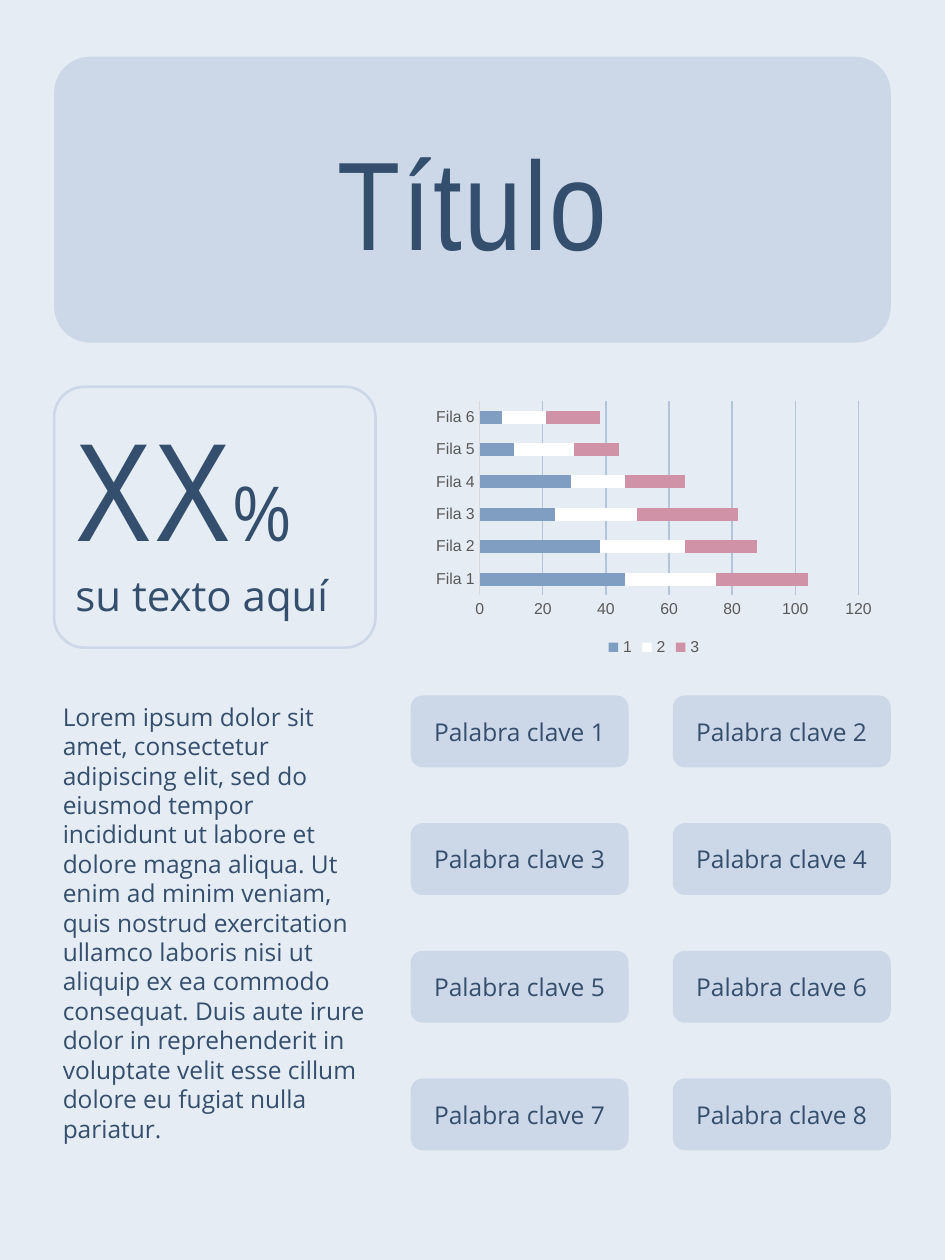
"""Build a portrait summary slide with a title, key figure, bar chart, text and keywords."""
import pptx
import pptx.chart.data
import pptx.dml.color
import pptx.enum.chart
import pptx.enum.shapes
import pptx.enum.text
import pptx.util
from dataclasses import dataclass

TITLE = "Título"
FIGURE = ("XX", "%")
FIGURE_CAPTION = "su texto aquí"
BODY = (
    "Lorem ipsum dolor sit amet, consectetur adipiscing elit, sed do eiusmod "
    "tempor incididunt ut labore et dolore magna aliqua. Ut enim ad minim veniam, "
    "quis nostrud exercitation ullamco laboris nisi ut aliquip ex ea commodo "
    "consequat. Duis aute irure dolor in reprehenderit in voluptate velit esse "
    "cillum dolore eu fugiat nulla pariatur."
)
KEYWORDS = [f"Palabra clave {number}" for number in range(1, 9)]
ROWS = [f"Fila {number}" for number in range(1, 7)]
SERIES = [
    ("1", (46, 38, 24, 29, 11, 7), "809EC2"),
    ("2", (29, 27, 26, 17, 19, 14), "FFFFFF"),
    ("3", (29, 23, 32, 19, 14, 17), "D092A7"),
]


@dataclass(frozen=True)
class Theme:
    """Colours, fonts and type sizes of the slide."""
    background: str = "E6ECF3"
    panel: str = "CCD8E7"
    ink: str = "344E6D"
    label: str = "595959"
    axis: str = "D9D9D9"
    grid: str = "B3C5DA"
    display: str = "Arial Narrow"
    text: str = "Open Sans"
    chart: str = "Arial"
    title_size: float = 72
    figure_size: float = 80
    percent_size: float = 45
    caption_size: float = 24
    body_size: float = 14
    chart_size: float = 9
    tracking: float = 1.4


THEME = Theme()
Inches = pptx.util.Inches
Pt = pptx.util.Pt
PANEL_LEFT, PANEL_RIGHT = 0.43, 7.07
KEYWORD_LEFT, KEYWORD_TOP, KEYWORD_LAST_TOP = 3.26, 5.52, 8.56
KEYWORD_WIDTH, KEYWORD_HEIGHT, KEYWORD_COLUMNS = 1.73, 0.57, 2


def rgb(value):
    """Return a colour from its hexadecimal value."""
    return pptx.dml.color.RGBColor.from_string(value)


def apply(target, values):
    """Set each attribute named in values on target."""
    for name, value in values.items():
        setattr(target, name, value)


def style_font(font, family, size, colour):
    """Give a font its family, size and colour."""
    apply(font, {"name": family, "size": Pt(size)})
    font.color.rgb = rgb(colour)


def write(paragraph, wording, family, size, tracking=0):
    """Add one styled run to a paragraph."""
    run = paragraph.add_run()
    run.text = wording
    style_font(run.font, family, size, THEME.ink)
    if tracking:
        run._r.get_or_add_rPr().set("spc", str(round(tracking * 100)))


def add_panel(slide, place, corner, filled=True):
    """Add a rounded panel, filled or outlined, and return its text frame."""
    panel = slide.shapes.add_shape(
        pptx.enum.shapes.MSO_SHAPE.ROUNDED_RECTANGLE, *map(Inches, place))
    panel.adjustments[0] = corner
    panel.shadow.inherit = False
    if filled:
        panel.fill.solid()
        panel.fill.fore_color.rgb = rgb(THEME.panel)
        panel.line.fill.background()
    else:
        panel.fill.background()
        panel.line.color.rgb = rgb(THEME.panel)
        panel.line.width = Pt(1.5)
    panel.text_frame.word_wrap = True
    return panel.text_frame


def add_label(slide, place, corner, wording, family, size, tracking=0):
    """Add a filled panel with one centred line."""
    frame = add_panel(slide, place, corner)
    frame.vertical_anchor = pptx.enum.text.MSO_ANCHOR.MIDDLE
    frame.paragraphs[0].alignment = pptx.enum.text.PP_ALIGN.CENTER
    write(frame.paragraphs[0], wording, family, size, tracking)


def add_figure(slide):
    """Add the outlined key figure with its caption."""
    frame = add_panel(slide, (PANEL_LEFT, 3.07, 2.55, 2.07), 0.116, filled=False)
    frame.vertical_anchor = pptx.enum.text.MSO_ANCHOR.TOP
    figure, caption = frame.paragraphs[0], frame.add_paragraph()
    for wording, size in zip(FIGURE, (THEME.figure_size, THEME.percent_size)):
        write(figure, wording, THEME.display, size, THEME.tracking)
    write(caption, FIGURE_CAPTION, THEME.text, THEME.caption_size)
    for paragraph in frame.paragraphs:
        paragraph.alignment = pptx.enum.text.PP_ALIGN.LEFT


def add_rows_chart(slide):
    """Add the stacked bar chart of the rows."""
    data = pptx.chart.data.CategoryChartData()
    data.categories = ROWS
    for name, values, _ in SERIES:
        data.add_series(name, values)
    chart = slide.shapes.add_chart(
        pptx.enum.chart.XL_CHART_TYPE.BAR_STACKED,
        *map(Inches, (3.39, 3.14, 3.6, 2.11)), data).chart
    apply(chart, {"has_title": False, "has_legend": True})
    apply(chart.legend, {
        "position": pptx.enum.chart.XL_LEGEND_POSITION.BOTTOM,
        "include_in_layout": False,
    })
    apply(chart.plots[0], {"gap_width": 150, "overlap": 100, "vary_by_categories": False})
    for series, (_, _, colour) in zip(chart.plots[0].series, SERIES):
        series.format.fill.solid()
        series.format.fill.fore_color.rgb = rgb(colour)
    rows, values = chart.category_axis, chart.value_axis
    for axis in (rows, values):
        apply(axis, {
            "major_tick_mark": pptx.enum.chart.XL_TICK_MARK.NONE,
            "minor_tick_mark": pptx.enum.chart.XL_TICK_MARK.NONE,
        })
    apply(values, {"minimum_scale": 0, "maximum_scale": 120, "major_unit": 20,
                   "has_major_gridlines": True})
    values.format.line.fill.background()
    for line, colour in ((rows.format.line, THEME.axis),
                         (values.major_gridlines.format.line, THEME.grid)):
        line.color.rgb = rgb(colour)
        line.width = Pt(0.75)
    for font in (chart.font, chart.legend.font, rows.tick_labels.font,
                 values.tick_labels.font):
        style_font(font, THEME.chart, THEME.chart_size, THEME.label)


def add_body(slide):
    """Add the running text."""
    frame = slide.shapes.add_textbox(*map(Inches, (0.4, 5.52, 2.6, 3.6))).text_frame
    frame.word_wrap = True
    write(frame.paragraphs[0], BODY, THEME.text, THEME.body_size)


def add_keywords(slide):
    """Add the keyword grid."""
    column_step = PANEL_RIGHT - KEYWORD_WIDTH - KEYWORD_LEFT
    row_step = (KEYWORD_LAST_TOP - KEYWORD_TOP) / (len(KEYWORDS) // KEYWORD_COLUMNS - 1)
    for index, keyword in enumerate(KEYWORDS):
        row, column = divmod(index, KEYWORD_COLUMNS)
        place = (KEYWORD_LEFT + column * column_step, KEYWORD_TOP + row * row_step,
                 KEYWORD_WIDTH, KEYWORD_HEIGHT)
        add_label(slide, place, 0.167, keyword, THEME.text, THEME.body_size)


def main():
    """Build and save the slide."""
    deck = pptx.Presentation()
    apply(deck, {"slide_width": Inches(7.5), "slide_height": Inches(10)})
    slide = deck.slides.add_slide(deck.slide_layouts[6])
    slide.background.fill.solid()
    slide.background.fill.fore_color.rgb = rgb(THEME.background)
    add_label(slide, (PANEL_LEFT, 0.45, PANEL_RIGHT - PANEL_LEFT, 2.27), 0.126,
              TITLE, THEME.display, THEME.title_size, THEME.tracking)
    add_figure(slide)
    add_rows_chart(slide)
    add_body(slide)
    add_keywords(slide)
    deck.save("out.pptx")


if __name__ == "__main__":
    main()
